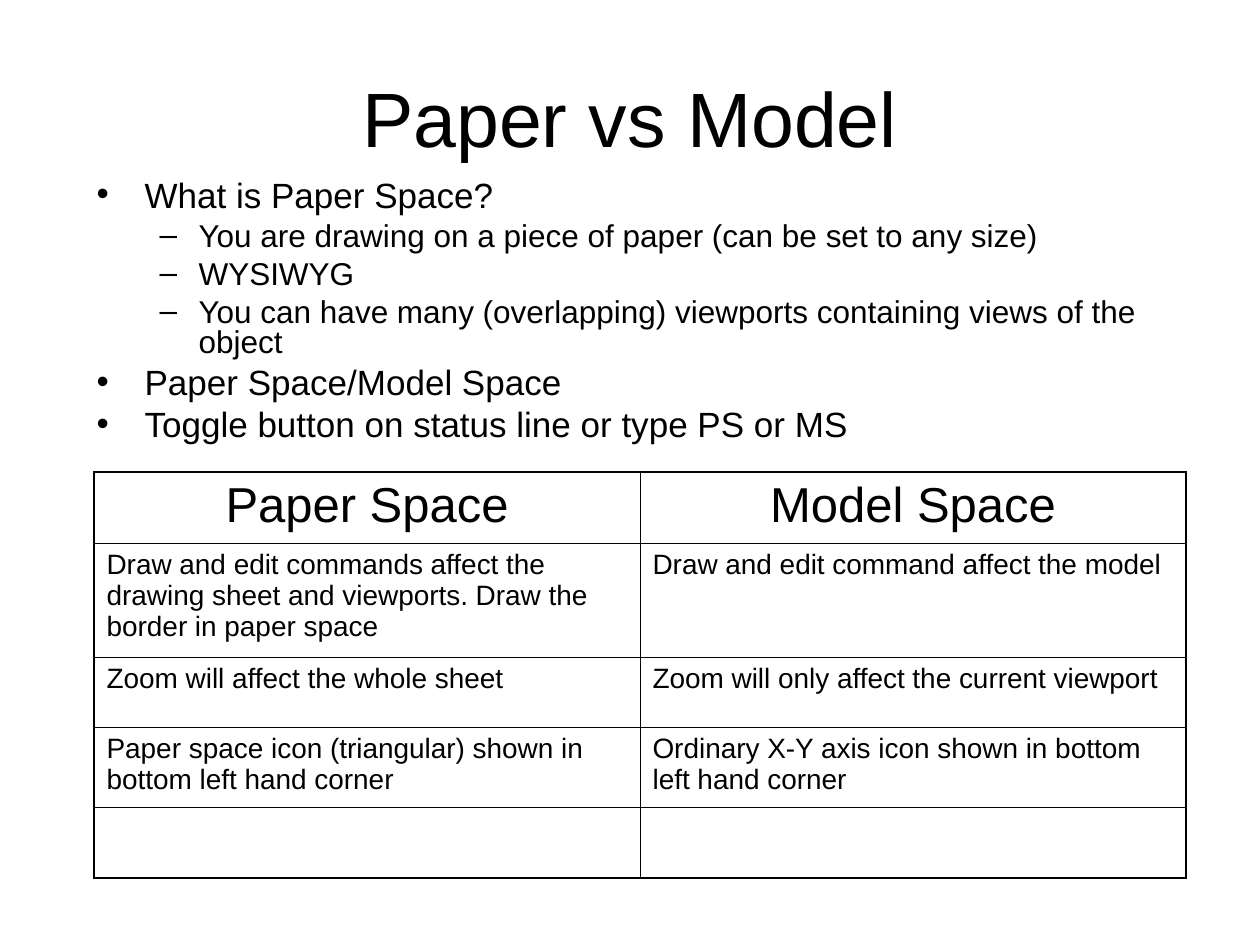
import pptx
import pptx.util
from pptx.dml.color import RGBColor
from pptx.enum.text import MSO_ANCHOR, MSO_AUTO_SIZE, PP_ALIGN
from pptx.oxml import parse_xml
from pptx.oxml.ns import nsdecls

EMU_PER_PX = 914400 / 126
BLACK = RGBColor(0, 0, 0)
WHITE = RGBColor(255, 255, 255)
FONT = "Arial"
OUTER_LINE, INNER_LINE = 1.08, 0.45  # points

# Per list level: bullet, text size, space before, left margin and hanging indent
LEVELS = [
    {"bullet": "•", "size": 20, "before": 5, "margin": 48, "hanging": 48},
    {"bullet": "–", "size": 18, "before": 4.5, "margin": 102, "hanging": 39},
]
POINTS = [
    (0, "What is Paper Space?"),
    (1, "You are drawing on a piece of paper (can be set to any size)"),
    (1, "WYSIWYG"),
    (1, "You can have many (overlapping) viewports containing views of the object"),
    (0, "Paper Space/Model Space"),
    (0, "Toggle button on status line or type PS or MS"),
]
COMPARISON = [
    ("Paper Space", "Model Space"),
    ("Draw and edit commands affect the drawing sheet and viewports. "
     "Draw the border in paper space",
     "Draw and edit command affect the model"),
    ("Zoom will affect the whole sheet",
     "Zoom will only affect the current viewport"),
    ("Paper space icon (triangular) shown in bottom left hand corner",
     "Ordinary X-Y axis icon shown in bottom left hand corner"),
    ("", ""),
]
ROW_HEIGHTS = [71, 114, 70, 80, 71]
COLUMN_WIDTH = 546


def px(length):
    return pptx.util.Emu(round(length * EMU_PER_PX))


def apply(target, values):
    for name, value in values.items():
        setattr(target, name, value)


def place(placeholder, left, top, width, height, anchor):
    apply(placeholder, {"left": px(left), "top": px(top),
                        "width": px(width), "height": px(height)})
    apply(placeholder.text_frame, {
        "word_wrap": True, "auto_size": MSO_AUTO_SIZE.NONE,
        "vertical_anchor": anchor})


def write(paragraph, text, size, **paragraph_format):
    apply(paragraph, paragraph_format)
    run = paragraph.add_run()
    run.text = text
    apply(run.font, {"name": FONT, "size": pptx.util.Pt(size), "bold": False})
    run.font.color.rgb = BLACK


def set_bullet(paragraph, level):
    properties = paragraph._p.get_or_add_pPr()
    properties.set("marL", str(px(level["margin"])))
    properties.set("indent", str(-px(level["hanging"])))
    for xml in (
        f'<a:buClr {nsdecls("a")}><a:srgbClr val="{BLACK}"/></a:buClr>',
        f'<a:buFont {nsdecls("a")} typeface="{FONT}"/>',
        f'<a:buChar {nsdecls("a")} char="{level["bullet"]}"/>',
    ):
        properties.append(parse_xml(xml))


def add_points(body):
    frame = body.text_frame
    for index, (depth, text) in enumerate(POINTS):
        paragraph = frame.add_paragraph() if index else frame.paragraphs[0]
        level = LEVELS[depth]
        write(paragraph, text, level["size"], level=depth, line_spacing=0.8,
              space_before=pptx.util.Pt(level["before"]))
        set_bullet(paragraph, level)


def set_borders(cell, outer_sides):
    properties = cell._tc.get_or_add_tcPr()
    for side, is_outer in outer_sides.items():
        width = pptx.util.Pt(OUTER_LINE if is_outer else INNER_LINE)
        properties.append(parse_xml(
            f'<a:ln{side} {nsdecls("a")} w="{width}"><a:solidFill>'
            f'<a:srgbClr val="{BLACK}"/></a:solidFill></a:ln{side}>'))


def add_comparison(slide, left, top):
    rows, columns = len(COMPARISON), len(COMPARISON[0])
    table = slide.shapes.add_table(
        rows, columns, px(left), px(top),
        px(COLUMN_WIDTH * columns), px(sum(ROW_HEIGHTS))).table
    apply(table, {"first_row": False, "horz_banding": False})
    for column in table.columns:
        column.width = px(COLUMN_WIDTH)
    for r, texts in enumerate(COMPARISON):
        table.rows[r].height = px(ROW_HEIGHTS[r])
        for c, text in enumerate(texts):
            cell = table.cell(r, c)
            # Only the frame of the table has the thicker line
            set_borders(cell, {"L": c == 0, "R": c == columns - 1,
                               "T": r == 0, "B": r == rows - 1})
            cell.fill.solid()
            cell.fill.fore_color.rgb = WHITE
            if text:
                size, before, align = ((28, 7, PP_ALIGN.CENTER) if r == 0
                                       else (16, 4, PP_ALIGN.LEFT))
                write(cell.text_frame.paragraphs[0], text, size,
                      alignment=align, space_before=pptx.util.Pt(before))


def main():
    deck = pptx.Presentation()
    apply(deck, {"slide_width": px(1260), "slide_height": px(945)})
    slide = deck.slides.add_slide(deck.slide_layouts[1])

    # Title
    title = slide.shapes.title
    place(title, 63, 38, 1134, 157, MSO_ANCHOR.MIDDLE)
    write(title.text_frame.paragraphs[0], "Paper vs Model", 44,
          alignment=PP_ALIGN.CENTER)

    # List
    body = slide.placeholders[1]
    place(body, 84, 175, 1101, 289, MSO_ANCHOR.TOP)
    add_points(body)

    # Comparison table
    add_comparison(slide, 94, 472)

    deck.save("out.pptx")


if __name__ == "__main__":
    main()
